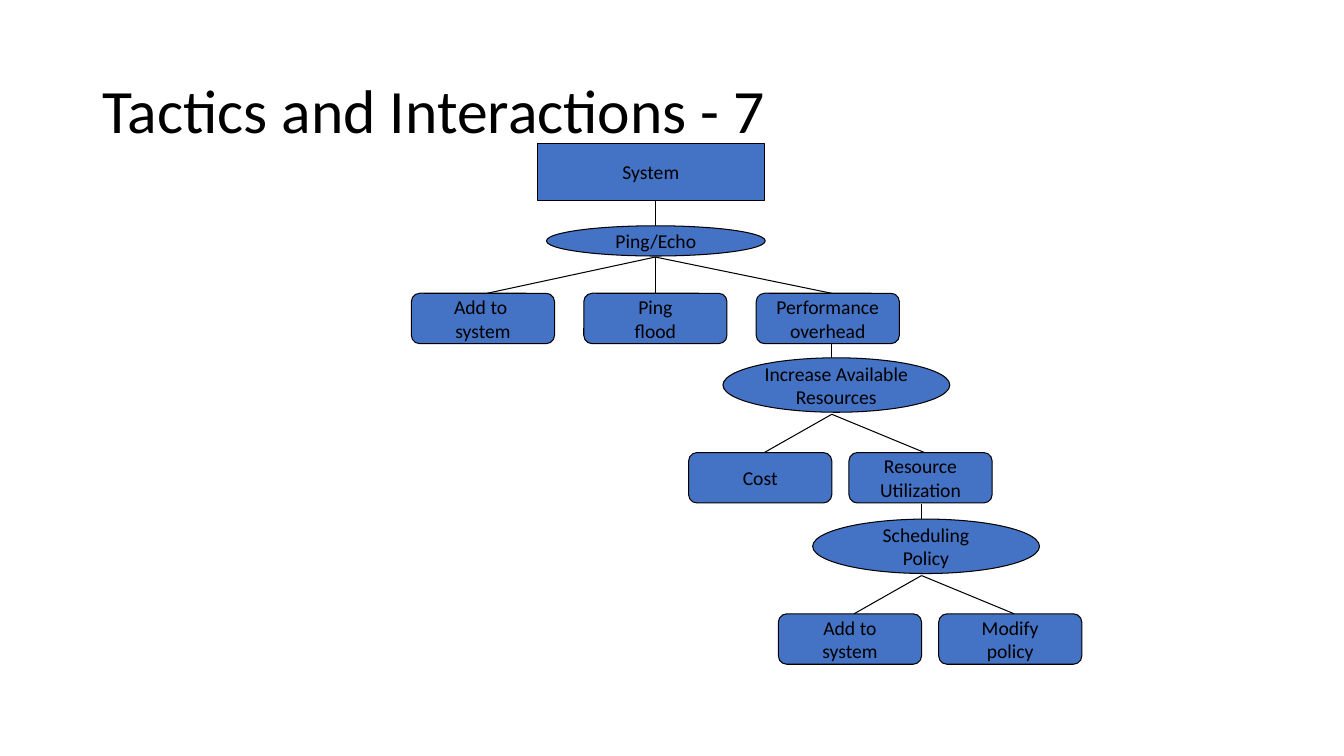
from lxml.etree import SubElement
from pptx import Presentation
from pptx.dml.color import RGBColor
from pptx.enum.shapes import MSO_CONNECTOR as Connector, MSO_SHAPE as Preset
from pptx.enum.text import MSO_ANCHOR as Anchor, PP_ALIGN as Align
from pptx.oxml.ns import qn
from pptx.util import Inches, Pt

BLUE, BLACK = "4472C4", "000000"
EFFECT_W, EFFECT_H = 1.42, 0.5
TOP, BOTTOM_OFFSET = 0, 0.75  # connection site; arrival point from a box's left side

# Offsets are inches from the top of each level's stem.
WIDE_LEVEL = {"stem": 0.25, "oval": (-1.08, 0.25, 2.17, 0.3), "hub": 0.56,
              "row": 0.92, "lefts": [-2.42, -0.71, 1.0]}
NARROW_LEVEL = {"stem": 0.41, "oval": (-1.08, 0.15, 2.25, 0.54), "hub": 0.71,
                "row": 1.09, "lefts": [-1.42, 0.17]}

LEVELS = [
    (6.5, 1.99, WIDE_LEVEL, "Ping/Echo",
     ["Add to \nsystem", "Ping\nflood", "Performance\noverhead"]),
    (8.25, 3.4, NARROW_LEVEL, "Increase Available\nResources",
     ["Cost", "Resource\nUtilization"]),
    (9.14, 5.0, NARROW_LEVEL, "Scheduling\nPolicy",
     ["Add to\nsystem", "Modify\npolicy"]),
]


def color(value):
    return RGBColor.from_string(value)


def write_text(frame, text, size, **paragraph_format):
    """Fill a text frame with one paragraph per line of text."""
    frame.vertical_anchor = Anchor.MIDDLE
    frame.text = text
    for paragraph in frame.paragraphs:
        for name, value in paragraph_format.items():
            setattr(paragraph, name, value)
        for name, value in {"name": "Calibri", "size": Pt(size)}.items():
            setattr(paragraph.font, name, value)
        paragraph.font.color.rgb = color(BLACK)


def add_node(shapes, preset, box, text):
    shape = shapes.add_shape(preset, *map(Inches, box))
    shape.shadow.inherit = False
    shape.fill.solid()
    shape.fill.fore_color.rgb = color(BLUE)
    shape.line.color.rgb = color(BLACK)
    shape.line.width = Pt(0.75)
    shape.text_frame.word_wrap = False
    write_text(shape.text_frame, text, 14, alignment=Align.CENTER)
    return shape


def add_line(shapes, start, end):
    line = shapes.add_connector(Connector.STRAIGHT, *map(Inches, (*start, *end)))
    line.line.color.rgb = color(BLACK)
    line.line.width = Pt(0.75)
    SubElement(line._element.spPr, qn("a:effectLst"))
    return line


def add_level(shapes, x, y, layout, tactic, effects):
    """Draw a stem, the tactic's oval and the row of effects below it."""
    add_line(shapes, (x, y), (x, y + layout["stem"]))
    left, top, width, height = layout["oval"]
    add_node(shapes, Preset.OVAL, (x + left, y + top, width, height), tactic)

    row_top = y + layout["row"]
    for offset, text in zip(layout["lefts"], effects):
        effect_left = x + offset
        effect = add_node(shapes, Preset.ROUNDED_RECTANGLE,
                          (effect_left, row_top, EFFECT_W, EFFECT_H), text)
        line = add_line(shapes, (x, y + layout["hub"]),
                        (effect_left + BOTTOM_OFFSET, row_top))
        if offset == -EFFECT_W / 2:
            line.end_connect(effect, TOP)


def add_title(slide, box, text):
    title = slide.shapes.add_textbox(*map(Inches, box))
    title.text_frame.word_wrap = True
    write_text(title.text_frame, text, 44, line_spacing=0.9)


def add_tactics_tree(slide):
    shapes = slide.shapes.add_group_shape().shapes
    add_node(shapes, Preset.RECTANGLE, (5.33, 1.42, 2.25, 0.57), "System")
    for level in LEVELS:
        add_level(shapes, *level)


def main():
    presentation = Presentation()
    presentation.slide_width = Inches(13.33)
    presentation.slide_height = Inches(7.5)
    slide = presentation.slides.add_slide(presentation.slide_layouts[6])
    add_title(slide, (0.92, 0.4, 11.5, 1.45), "Tactics and Interactions - 7")
    add_tactics_tree(slide)
    presentation.save("out.pptx")


if __name__ == "__main__":
    main()
